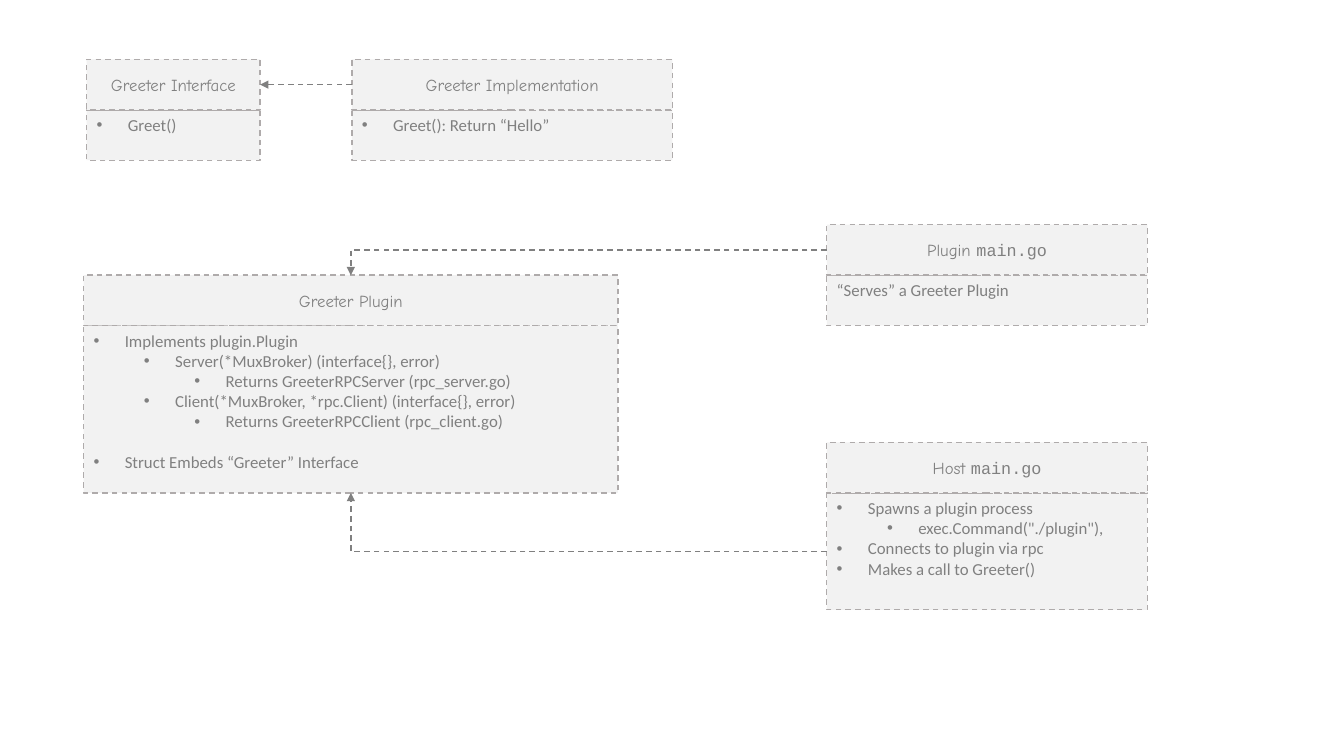
from pptx import Presentation
from pptx.dml.color import RGBColor as RGB
from pptx.enum.dml import MSO_LINE as Dash
from pptx.enum.shapes import MSO_CONNECTOR as Conn, MSO_SHAPE as Shape
from pptx.enum.text import MSO_ANCHOR as Anchor, PP_ALIGN as Align
from pptx.oxml.ns import qn
from pptx.util import Inches, Pt
from lxml.etree import SubElement as sub

COLORS = {"fill": "F2F2F2", "edge": "AFABAB", "ink": "808080"}
FONTS = {"title": "Comic Neue", "code": "Courier New", "body": "Calibri"}
HEAD = 0.5          # height of each title bar
STEP, HANG = 0.5, 0.31
TOP, LEFT, BASE, RIGHT = range(4)   # connection sites of a rectangle

# name: (x, y, width, body height, title, code in title, rows, row after a gap)
# A row is (level, text); level None means no bullet.
CARDS = {
    "plugin": (0.83, 2.73, 5.3, 1.66, "Greeter Plugin", "", [
        (0, "Implements plugin.Plugin"),
        (1, "Server(*MuxBroker) (interface{}, error)"),
        (2, "Returns GreeterRPCServer (rpc_server.go)"),
        (1, "Client(*MuxBroker, *rpc.Client) (interface{}, error)"),
        (2, "Returns GreeterRPCClient (rpc_client.go)"),
        (0, "Struct Embeds “Greeter” Interface")], 5),
    "face": (0.86, 0.59, 1.72, 0.5, "Greeter Interface", "",
             [(0, "Greet()")], None),
    "impl": (3.49, 0.59, 3.18, 0.5, "Greeter Implementation", "",
             [(0, "Greet(): Return “Hello”")], None),
    "serve": (8.2, 2.23, 3.18, 0.5, "Plugin ", "main.go",
              [(None, "“Serves” a Greeter Plugin")], None),
    "host": (8.2, 4.39, 3.18, 1.16, "Host ", "main.go", [
        (0, "Spawns a plugin process"),
        (1, 'exec.Command("./plugin"),'),
        (0, "Connects to plugin via rpc"),
        (0, "Makes a call to Greeter()")], None),
}


def put(obj, **vals):
    for name, val in vals.items():
        setattr(obj, name, val)


def color(name):
    return RGB.from_string(COLORS[name])


def dash(line, name):
    line.color.rgb = color(name)
    put(line, width=Pt(1), dash_style=Dash.DASH)


def add_box(slide, x, y, w, h, anchor):
    box = slide.shapes.add_shape(
        Shape.RECTANGLE, Inches(x), Inches(y), Inches(w), Inches(h))
    box.shadow.inherit = False
    box.fill.solid()
    box.fill.fore_color.rgb = color("fill")
    dash(box.line, "edge")
    put(box.text_frame, word_wrap=True, vertical_anchor=anchor)
    return box


def add_run(para, text, font):
    run = para.add_run()
    run.text = text
    put(run.font, name=FONTS[font], size=Pt(12))
    run.font.color.rgb = color("ink")


def add_bullet(para, level):
    para.level = level
    props = para._p.get_or_add_pPr()
    props.set("marL", str(Inches(HANG + STEP * level)))
    props.set("indent", str(-Inches(HANG)))
    sub(props, qn("a:buFont")).set("typeface", "Arial")
    sub(props, qn("a:buChar")).set("char", "•")


def add_card(slide, x, y, w, h, title, code, rows, gap):
    # Body
    body = add_box(slide, x, y + HEAD, w, h, Anchor.TOP)
    frame = body.text_frame
    for i, (level, text) in enumerate(rows):
        para = frame.add_paragraph() if i else frame.paragraphs[0]
        para.alignment = Align.LEFT
        if i == gap:
            para.space_before = Pt(14.6)
        if level is not None:
            add_bullet(para, level)
        add_run(para, text, "body")
    # Title bar
    head = add_box(slide, x, y, w, HEAD, Anchor.MIDDLE)
    para = head.text_frame.paragraphs[0]
    para.alignment = Align.CENTER
    add_run(para, title, "title")
    if code:
        add_run(para, code, "code")
    return head, body


def add_arrow(slide, start, site, end, stop, bent=True):
    kind = Conn.ELBOW if bent else Conn.STRAIGHT
    link = slide.shapes.add_connector(kind, 0, 0, 0, 0)
    link.begin_connect(start, site)
    link.end_connect(end, stop)
    dash(link.line, "ink")
    props = link._element.spPr
    if bent:    # one corner only
        props.find(qn("a:prstGeom")).set("prst", "bentConnector2")
    sub(props.find(qn("a:ln")), qn("a:tailEnd")).set("type", "triangle")
    sub(props, qn("a:effectLst"))


def main():
    deck = Presentation()
    put(deck, slide_width=Inches(13.33), slide_height=Inches(7.5))
    slide = deck.slides.add_slide(deck.slide_layouts[6])

    # Cards, each a (head, body) pair
    cards = {name: add_card(slide, *card) for name, card in CARDS.items()}
    head, body = cards["plugin"]

    # Arrows
    add_arrow(slide, cards["impl"][0], LEFT, cards["face"][0], RIGHT, False)
    add_arrow(slide, cards["serve"][0], LEFT, head, TOP)
    add_arrow(slide, cards["host"][1], LEFT, body, BASE)

    deck.save("out.pptx")


if __name__ == "__main__":
    main()
